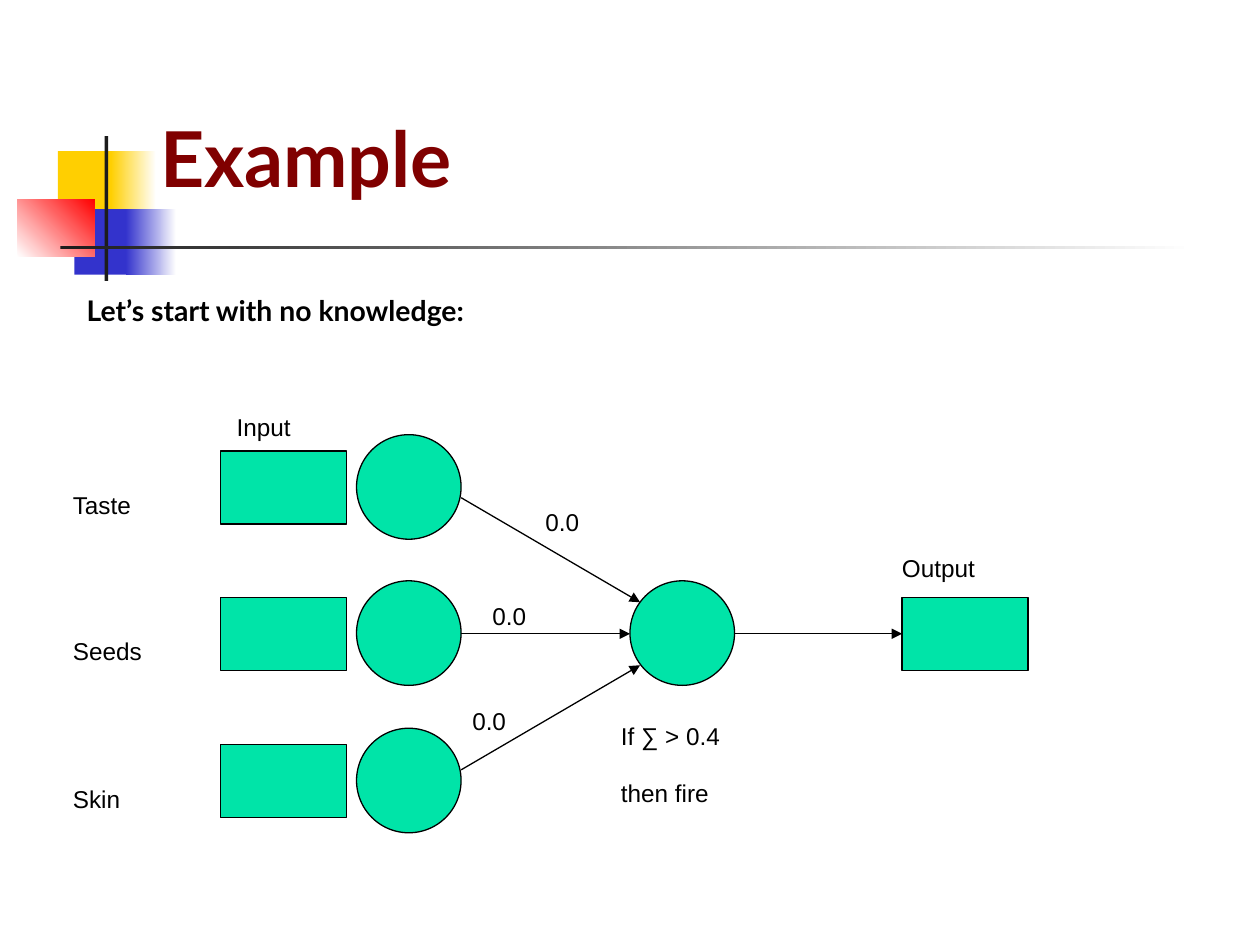
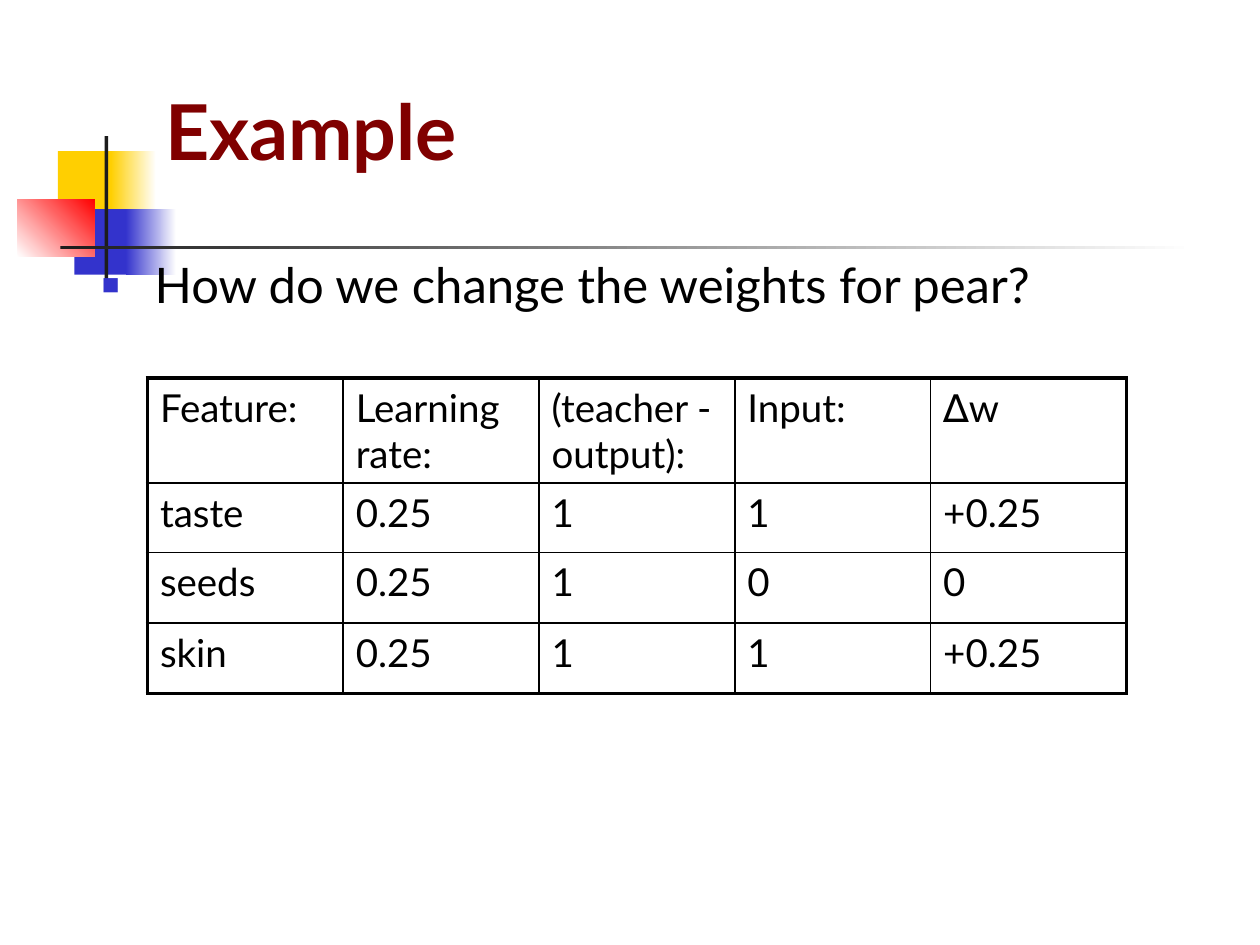
from lxml import etree
from pptx import Presentation
from pptx.dml.color import RGBColor
from pptx.enum.shapes import MSO_CONNECTOR, MSO_SHAPE
from pptx.enum.text import MSO_ANCHOR
from pptx.oxml.ns import qn
from pptx.util import Inches, Pt

BLACK = RGBColor(0x00, 0x00, 0x00)
WHITE = RGBColor(0xFF, 0xFF, 0xFF)
GOLD = RGBColor(0xFF, 0xCF, 0x01)
BLUE = RGBColor(0x33, 0x33, 0xCC)
RED = RGBColor(0xFF, 0x00, 0x00)
INK = RGBColor(0x1C, 0x1C, 0x1C)
MAROON = RGBColor(0x80, 0x00, 0x00)
MINT = RGBColor(0x00, 0xE4, 0xA8)

RECT, OVAL = MSO_SHAPE.RECTANGLE, MSO_SHAPE.OVAL
STRAIGHT = MSO_CONNECTOR.STRAIGHT
TOP, MIDDLE = MSO_ANCHOR.TOP, MSO_ANCHOR.MIDDLE

TITLE = {"name": "Lato", "size": Pt(44), "bold": True}
BODY = {"name": "Lato", "size": Pt(28)}
NOTE = {"name": "Lato", "size": Pt(28), "bold": True}
LABEL = {"name": "Arial", "size": Pt(24)}
CELL = {"name": "Lato", "size": Pt(22)}

# Left, top, width, height, first colour, last colour, angle
DECOR = [
    (0.46, 1.2, 0.48, 0.52, GOLD, None, 0),
    (0.88, 1.2, 0.36, 0.52, GOLD, WHITE, 0),
    (0.59, 1.66, 0.46, 0.52, BLUE, None, 0),
    (1, 1.66, 0.4, 0.52, BLUE, WHITE, 0),
    (0.14, 1.58, 0.61, 0.46, WHITE, RED, 45),
    (0.83, 1.08, 0.03, 1.15, INK, None, 0),
    (0.48, 1.95, 9, 0.03, INK, WHITE, 0),
]

DISC = 0.83
BOX_W, BOX_H = 1, 0.58
BOX_DROP = 0.13
MID = 5.03
INPUTS = [("Taste", 3.45), ("Seeds", 4.61), ("Skin", 5.78)]
ARROWS = [
    ((3.66, 3.95), (5.08, 4.78)),
    ((3.66, 6.11), (5.08, 5.28)),
    ((3.66, MID), (5, MID)),
    ((5.83, MID), (7.16, MID)),
]
WEIGHTS = [(4.23, 3.75), (3.81, 4.5), (3.65, 5.33)]

ROWS = [
    ("Feature:", "Learning rate:", "(teacher - output):", "Input:", "∆w"),
    ("taste", "0.25", "1", "1", "+0.25"),
    ("seeds", "0.25", "1", "0", "0"),
    ("skin", "0.25", "1", "1", "+0.25"),
]
HEIGHTS = [0.83, 0.55, 0.56, 0.56]


def add_node(parent, tag, **attrs):
    node = etree.SubElement(parent, qn(tag))
    for key, val in attrs.items():
        node.set(key, str(val))
    return node


class Deck:
    def __init__(self):
        self.prs = Presentation()
        self.prs.slide_width = Inches(10)
        self.prs.slide_height = Inches(7.5)
        self.slide = None

    def start(self, title, left, top):
        """Add a slide with the shared decoration and a title."""
        self.slide = self.prs.slides.add_slide(self.prs.slide_layouts[6])
        for x, y, w, h, first, last, angle in DECOR:
            self.shape(RECT, x, y, w, h, first, last, angle)
        self.text([title], left, top, 8.52, 1.6, TITLE, MAROON, anchor=MIDDLE, pad=0.05)

    def shape(self, kind, x, y, w, h, color, last=None, angle=0, edge=None):
        item = self.slide.shapes.add_shape(
            kind, Inches(x), Inches(y), Inches(w), Inches(h))
        item.shadow.inherit = False
        if last is None:
            item.fill.solid()
            item.fill.fore_color.rgb = color
        else:
            item.fill.gradient()
            item.fill.gradient_angle = angle
            for stop, tone in zip(item.fill.gradient_stops, (color, last)):
                stop.color.rgb = tone
        if edge is None:
            item.line.fill.background()
        else:
            item.line.color.rgb = edge
            item.line.width = Pt(0.75)

    def node(self, kind, x, y, w, h):
        self.shape(kind, x, y, w, h, MINT, edge=BLACK)

    def arrow(self, start, end):
        link = self.slide.shapes.add_connector(
            STRAIGHT, *[Inches(v) for v in (*start, *end)])
        link.line.color.rgb = BLACK
        link.line.width = Pt(0.75)
        props = link._element.spPr
        add_node(props.find(qn("a:ln")), "a:tailEnd", type="triangle")
        add_node(props, "a:effectLst")

    def run(self, para, words, style, color, low=False):
        """Add a run; low sets it below the baseline."""
        run = para.add_run()
        run.text = words
        for key, val in style.items():
            setattr(run.font, key, val)
        run.font.color.rgb = color
        if low:
            run._r.get_or_add_rPr().set("baseline", "-25000")

    def text(self, lines, x, y, w, h, style, color=BLACK, low=False,
             anchor=TOP, pad=None):
        box = self.slide.shapes.add_textbox(
            Inches(x), Inches(y), Inches(w), Inches(h))
        frame = box.text_frame
        frame.word_wrap = True
        frame.vertical_anchor = anchor
        if pad is not None:
            for side in ("left", "right", "top", "bottom"):
                setattr(frame, f"margin_{side}", Inches(pad))
        for i, words in enumerate(lines):
            para = frame.add_paragraph() if i else frame.paragraphs[0]
            self.run(para, words, style, color, low)
        return frame

    def label(self, x, y, *lines, width=1.4):
        self.text(lines, x, y, width, 0.5 * len(lines), LABEL, low=True)

    def bullet(self, words, x, y, w, h):
        para = self.text([words], x, y, w, h, BODY).paragraphs[0]
        para.line_spacing = 0.9
        props = para._p.get_or_add_pPr()
        props.set("marL", str(Inches(0.46)))
        props.set("indent", str(Inches(-0.42)))
        tint = add_node(props, "a:buClr")
        add_node(tint, "a:srgbClr", val=BLUE)
        add_node(props, "a:buSzPct", val=60000)
        add_node(props, "a:buFont", typeface="Arial")
        add_node(props, "a:buChar", char="■")

    def border(self, cell, widths):
        """Draw the left, right, top and bottom edges, widths in points."""
        props = cell._tc.get_or_add_tcPr()
        for i, (side, width) in enumerate(zip("LRTB", widths)):
            edge = add_node(props, f"a:ln{side}", w=Pt(width))
            fill = add_node(edge, "a:solidFill")
            add_node(fill, "a:srgbClr", val=BLACK)
            props.insert(i, edge)

    def table(self, rows, heights, x, y, w):
        count, span = len(rows), len(rows[0])
        grid = self.slide.shapes.add_table(
            count, span, Inches(x), Inches(y), Inches(w),
            Inches(sum(heights))).table
        grid.first_row = grid.horz_banding = False
        for r, (row, height) in enumerate(zip(rows, heights)):
            grid.rows[r].height = Inches(height)
            for c, words in enumerate(row):
                cell = grid.cell(r, c)
                cell.fill.background()
                self.run(cell.text_frame.paragraphs[0], words, CELL, BLACK)
                outer = (c == 0, c == span - 1, r == 0, r == count - 1)
                self.border(cell, [2.25 if far else 1 for far in outer])


def draw_net(deck):
    deck.start("Example", 1.22, 0.44)
    for name, top in INPUTS:
        deck.node(OVAL, 2.83, top, DISC, DISC)
        deck.node(RECT, 1.75, top + BOX_DROP, BOX_W, BOX_H)
        deck.label(0.48, top + 0.17, name)
    deck.node(OVAL, 5, 4.61, DISC, DISC)
    deck.node(RECT, 7.16, 4.74, BOX_W, BOX_H)
    for start, end in ARROWS:
        deck.arrow(start, end)
    for x, y in WEIGHTS:
        deck.label(x, y, "0.0", width=0.66)
    deck.label(1.78, 3, "Input")
    deck.label(7.06, 4.12, "Output")
    deck.label(4.83, 5.45, "If ∑ > 0.4", "then fire")
    deck.text(["Let’s start with no knowledge:"], 0.59, 2.02, 4.24, 0.73,
              NOTE, low=True)


def draw_change(deck):
    deck.start("Example", 1.26, 0.23)
    deck.bullet("How do we change the weights for pear?", 0.67, 2.02, 8.5, 4.5)
    deck.table(ROWS, HEIGHTS, 1.17, 3, 7.77)


def main():
    deck = Deck()
    draw_net(deck)
    draw_change(deck)
    deck.prs.save("out.pptx")


if __name__ == "__main__":
    main()
